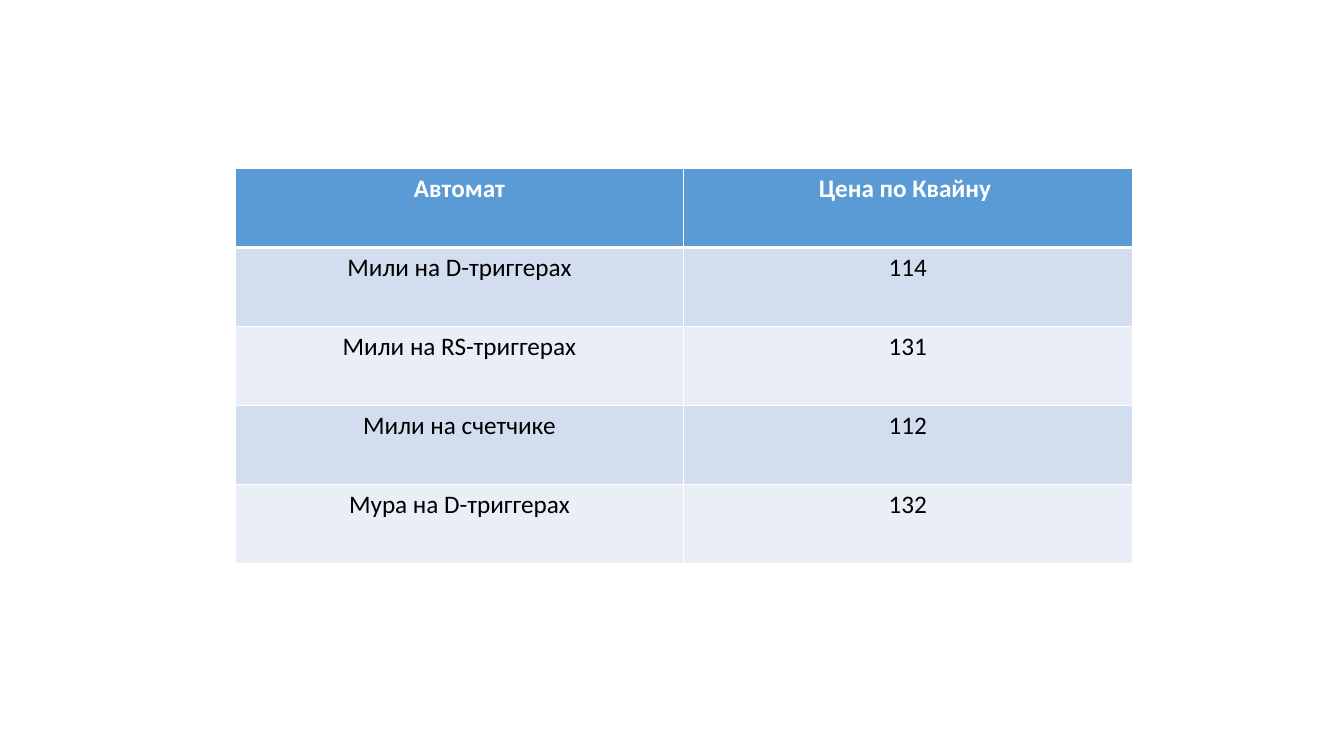
import pptx
import pptx.util
import pptx.dml.color
import pptx.enum.text
import pptx.oxml
import pptx.oxml.ns

Cm = pptx.util.Cm
Pt = pptx.util.Pt

ROWS = [
    ("Автомат", "Цена по Квайну "),
    ("Мили на D-триггерах", "114"),
    ("Мили на RS-триггерах", "131"),
    ("Мили на счетчике", "112"),
    ("Мура на D-триггерах", "132"),
]
HEAD = "5B9BD5"
BANDS = ("EAEFF7", "D2DEEF")
WHITE = "FFFFFF"
BLACK = "000000"


def color(code):
    return pptx.dml.color.RGBColor.from_string(code)


def border(cell, side, width):
    props = cell._tc.get_or_add_tcPr()
    props.append(pptx.oxml.parse_xml(
        f'<a:ln{side} {pptx.oxml.ns.nsdecls("a")} w="{Pt(width)}">'
        f'<a:solidFill><a:srgbClr val="{WHITE}"/></a:solidFill>'
        f'</a:ln{side}>'))


def style(cell, text, row):
    head = row == 0
    widths = {"L": 1, "R": 1, "T": 3 if row == 1 else 1, "B": 3 if head else 1}
    for side, width in widths.items():
        border(cell, side, width)
    cell.fill.solid()
    cell.fill.fore_color.rgb = color(HEAD if head else BANDS[row % 2])
    cell.text_frame.text = text
    para = cell.text_frame.paragraphs[0]
    para.alignment = pptx.enum.text.PP_ALIGN.CENTER
    font = para.runs[0].font
    font.name = "Calibri"
    font.size = Pt(18)
    font.bold = head
    font.color.rgb = color(WHITE if head else BLACK)


def add_grid(slide, rows, left, top, width, height):
    count = len(rows[0])
    frame = slide.shapes.add_table(
        len(rows), count, left, top, width * count, height * len(rows))
    grid = frame.table
    for col in grid.columns:
        col.width = width
    for row, texts in enumerate(rows):
        grid.rows[row].height = height
        for col, text in enumerate(texts):
            style(grid.cell(row, col), text, row)


def main():
    deck = pptx.Presentation()
    deck.slide_width = Cm(33.87)
    deck.slide_height = Cm(19.05)
    slide = deck.slides.add_slide(deck.slide_layouts[6])
    add_grid(slide, ROWS, Cm(5.93), Cm(4.25), Cm(11.3), Cm(1.99))
    deck.save("out.pptx")


if __name__ == "__main__":
    main()
